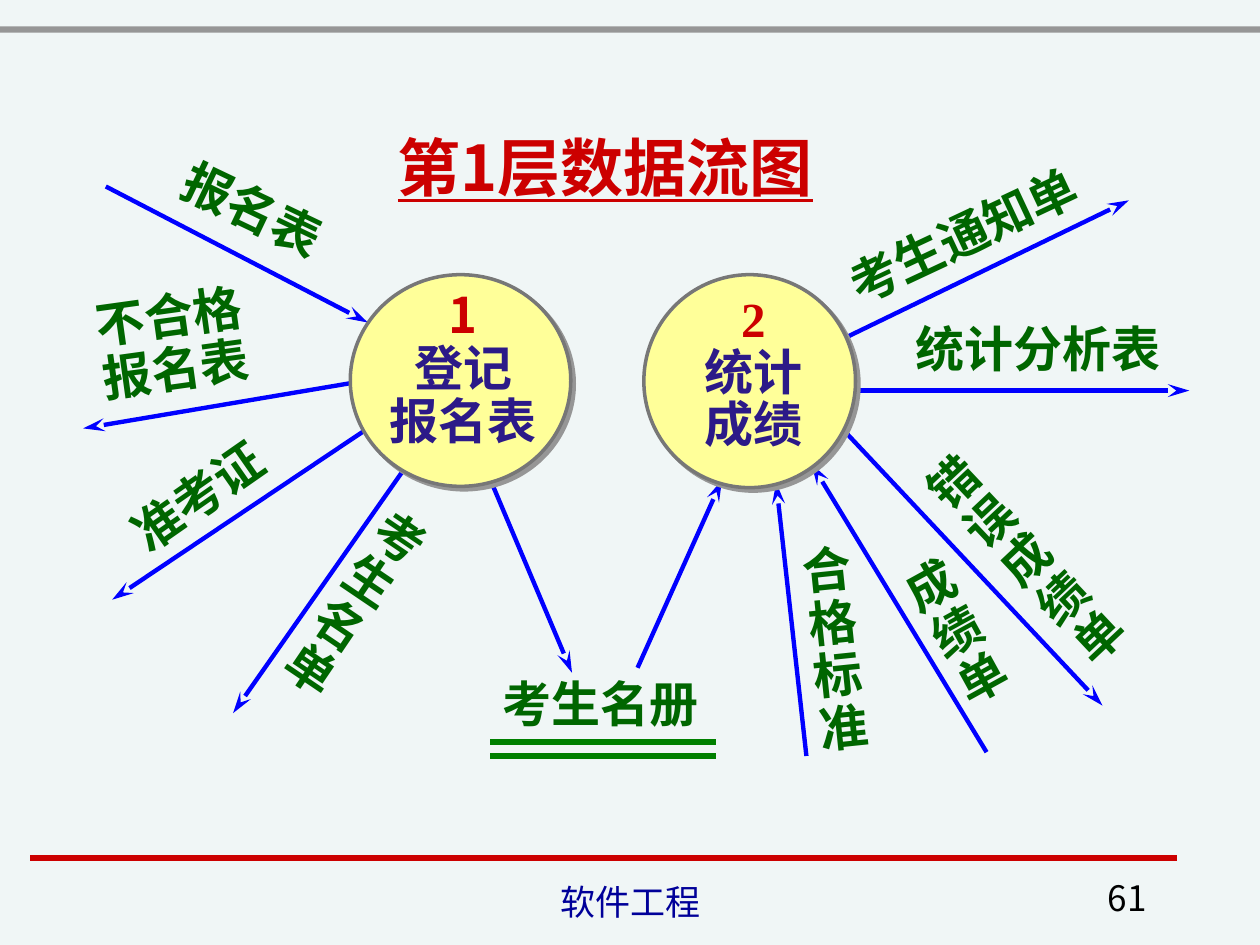
from lxml import etree
from pptx import Presentation, util as u
from pptx.dml.color import RGBColor
from pptx.enum import shapes, text
from pptx.oxml import parse_xml
from pptx.oxml.ns import nsdecls, qn

COLUMN = ROW = u.Inches(0.1)  
COLORS = {
    "background": "F0F6F6", "bar": "969696", "rule": "CC0000", "flow": "0000FF",
    "label": "006600", "store": "008000", "process": "FFFF99", "outline": "777777",
    "number": "CC0000", "name": "2C1A88", "footer": "000099", "page": "000000",
}
SANS = "Noto Sans CJK SC"
FLOWS = [
    (8.4, 14.8, 29.2, 25.6), (28.9, 34.2, 8.9, 47.6), (32.1, 37.2, 18.5, 56.6),
    (27.9, 30.4, 6.6, 34), (39.1, 38.5, 45.4, 53.4), (50.6, 53, 57.3, 38.1),
    (67.1, 26.8, 89.6, 15.9), (64, 60, 61.6, 38.3), (67.2, 34.4, 87.5, 56),
    (68.2, 31, 94.4, 31), (78.3, 59.7, 64.4, 36.8),
]
FLOW_LABELS = [
    (["报名表"], (13.2, 14, 14.8, 5.7), 25.5, 1),
    (["准考证"], (8.7, 35.9, 15.7, 5.7), 325.1, 1),
    (["不合格", "报名表"], (6.9, 22.6, 15.1, 9.4), 352.1, 0.9),
    (["考生通知单"], (65.7, 15.5, 22.7, 5.7), 334.9, 1),
    (["统计分析表"], (71.7, 24.8, 28.3, 5.7), 0, 1),
    (["考生名册"], (38.9, 53, 19, 5.7), 0, 1),
    (["成绩单"], (73.1, 43.4, 6.3, 13.6), 331.2, 0.9),
    (["合", "格", "标", "准"], (63.4, 42.7, 7.5, 17.8), 354.1, 0.9),
    (["考生名", "单"], (25.1, 39.3, 6.4, 17.8), 34.1, 0.9),
    (["错误成绩单"], (78.6, 33.4, 6.3, 22), 316.7, 0.9),
]
PROCESSES = [
    ((27.8, 21.8, 17.5, 16.8), (28.4, 22.6, 16.7, 13.6), ["1", "登记", "报名表"], SANS),
    ((51.1, 21.8, 16.8, 16.9), (53.6, 22.9, 12.4, 13.6), ["2", "统计", "成绩"], "Times New Roman"),
]


def color(name):
    """Return a palette colour."""
    return RGBColor.from_string(COLORS[name])


def place(*cells):
    """Turn alternating columns and rows into lengths."""
    return [round(cell * (ROW if index % 2 else COLUMN)) for index, cell in enumerate(cells)]


def style(paragraph, ink, size=28, face=SANS, bold=True, underline=None):
    """Set the Latin and East Asian font of a paragraph."""
    font = paragraph.font
    font.size, font.bold, font.underline = u.Pt(size), bold, underline
    font.color.rgb = color(ink)
    font.name = face
    properties = paragraph._p.pPr.find(qn("a:defRPr"))
    etree.SubElement(properties, qn("a:ea")).set("typeface", face)


def add_text(slide, lines, box, ink, rotation=0, spacing=1, align=text.PP_ALIGN.LEFT,
             anchor=text.MSO_ANCHOR.TOP, **font):
    """Add a text box with one paragraph per line and return its paragraphs."""
    shape = slide.shapes.add_textbox(*place(*box))
    shape.rotation = rotation
    frame = shape.text_frame
    frame.word_wrap = True
    frame.vertical_anchor = anchor
    frame.text = "\n".join(lines)
    for paragraph in frame.paragraphs:
        paragraph.alignment = align
        paragraph.line_spacing = float(spacing)
        style(paragraph, ink, **font)
    return frame.paragraphs


def add_line(slide, ends, ink, width, arrow=False):
    """Add a straight line, with a stealth arrowhead at its end for a flow."""
    line = slide.shapes.add_connector(shapes.MSO_CONNECTOR.STRAIGHT, *place(*ends))
    line.line.color.rgb = color(ink)
    line.line.width = u.Pt(width)
    if arrow:
        head = etree.SubElement(line.line._get_or_add_ln(), qn("a:tailEnd"))
        for key, value in (("type", "stealth"), ("w", "med"), ("len", "lg")):
            head.set(key, value)
    etree.SubElement(line._element.spPr, qn("a:effectLst"))


def add_process(slide, circle, box, lines, number_face):
    """Add a shadowed process circle with its number and name."""
    shape = slide.shapes.add_shape(shapes.MSO_SHAPE.OVAL, *place(*circle))
    shape.fill.solid()
    shape.fill.fore_color.rgb = color("process")
    shape.line.color.rgb = color("outline")
    shape.line.width = u.Pt(2)
    shape._element.spPr.append(parse_xml(
        f'<a:effectLst {nsdecls("a")}><a:outerShdw dist="{u.Pt(2.8)}" dir="2700000">'
        f'<a:srgbClr val="{COLORS["bar"]}"/></a:outerShdw></a:effectLst>'))
    paragraphs = add_text(slide, lines, box, "name", spacing=0.9, align=text.PP_ALIGN.CENTER)
    number = paragraphs[0].font
    number.color.rgb = color("number")
    number.name = number_face


def add_frame(slide):
    """Add the background, top bar, bottom rule and footer."""
    slide.background.fill.solid()
    slide.background.fill.fore_color.rgb = color("background")
    bar = slide.shapes.add_shape(shapes.MSO_SHAPE.RECTANGLE, *place(0, 2.1, 100, 0.5))
    bar.shadow.inherit = False
    bar.fill.solid()
    bar.fill.fore_color.rgb = color("bar")
    bar.line.fill.background()
    add_line(slide, (2.4, 68.1, 93.4, 68.1), "rule", 3)
    footer = dict(size=20, bold=False, anchor=text.MSO_ANCHOR.BOTTOM)
    add_text(slide, ["软件工程"], (34.2, 69.8, 31.7, 3.9), "footer",
             align=text.PP_ALIGN.CENTER, face="Arial Narrow", **footer)
    add_text(slide, ["61"], (71.2, 69.6, 20.8, 3.8), "page", align=text.PP_ALIGN.RIGHT, **footer)


def main():
    """Build the data flow diagram slide."""
    presentation = Presentation()
    presentation.slide_width, presentation.slide_height = 100 * COLUMN, 75 * ROW
    slide = presentation.slides.add_slide(presentation.slide_layouts[6])
    add_frame(slide)
    add_text(slide, ["第1层数据流图"], (23.9, 9.7, 48.3, 7), "number", size=36,
             align=text.PP_ALIGN.CENTER, face="Noto Sans CJK JP", underline=True)
    for ends in FLOWS:
        add_line(slide, ends, "flow", 2.5, arrow=True)
    for process in PROCESSES:
        add_process(slide, *process)
    for lines, box, rotation, spacing in FLOW_LABELS:
        add_text(slide, lines, box, "label", rotation, spacing)
    for row in (58.9, 60):
        add_line(slide, (38.9, row, 56.8, row), "store", 3)
    presentation.save("out.pptx")


if __name__ == "__main__":
    main()
